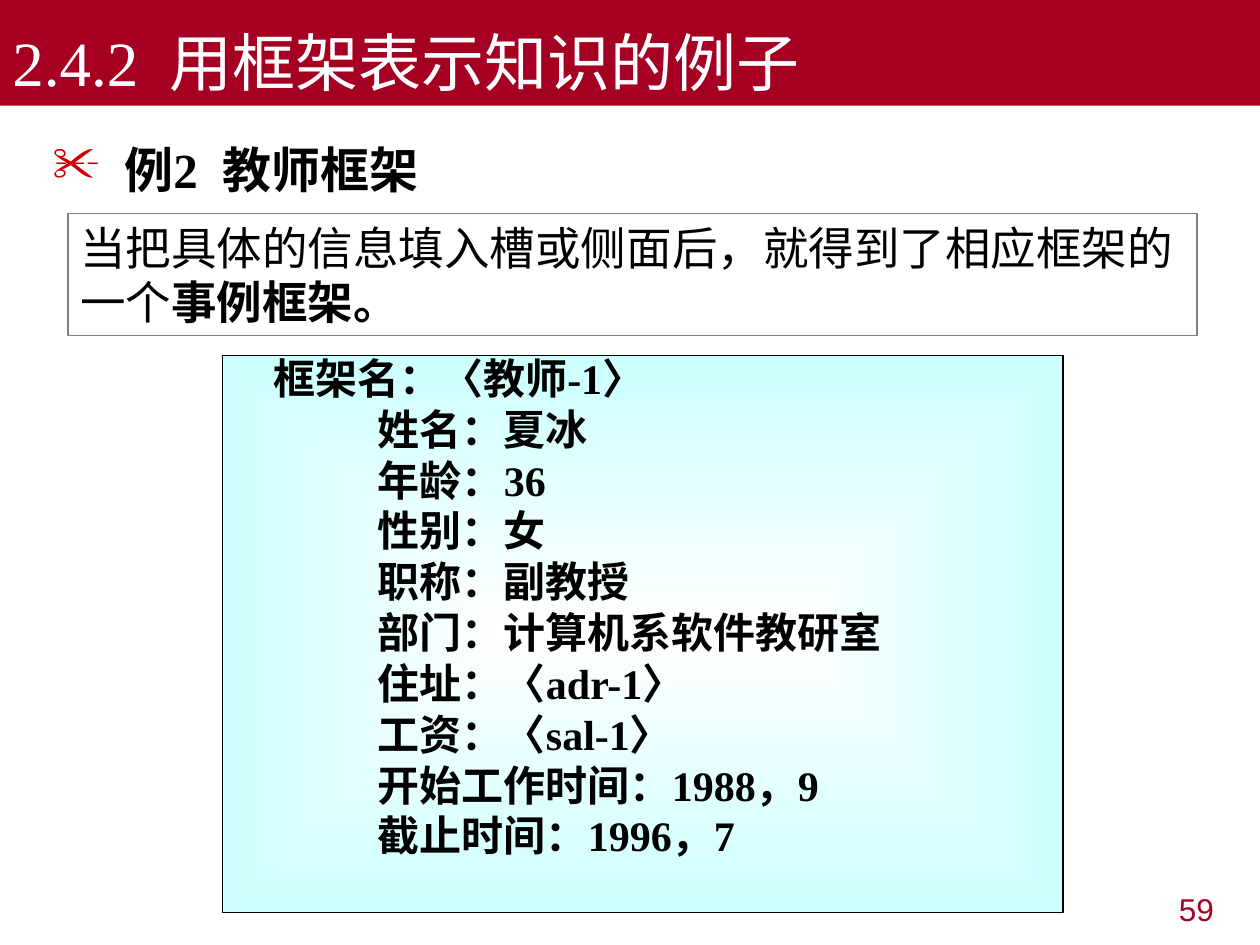
from dataclasses import dataclass

from lxml import etree
from pptx import Presentation
from pptx.dml.color import RGBColor
from pptx.enum.shapes import MSO_SHAPE
from pptx.enum.text import MSO_ANCHOR, MSO_AUTO_SIZE, PP_ALIGN
from pptx.oxml.ns import qn
from pptx.util import Cm, Pt

RECTANGLE = MSO_SHAPE.RECTANGLE
TOP, BOTTOM = MSO_ANCHOR.TOP, MSO_ANCHOR.BOTTOM
LEFT, RIGHT = PP_ALIGN.LEFT, PP_ALIGN.RIGHT
FIXED, GROW = MSO_AUTO_SIZE.NONE, MSO_AUTO_SIZE.SHAPE_TO_FIT_TEXT
TITLE_ONLY = 5


@dataclass(frozen=True)
class Theme:
    crimson: str = "A50021"
    bullet: str = "CC0000"
    ink: str = "000000"
    paper: str = "FFFFFF"
    aqua: str = "CCFFFF"
    border: str = "808080"
    serif: str = "Times New Roman"
    sans: str = "Arial"
    title: int = 36
    heading: int = 28
    note: int = 26
    slot: int = 24
    number: int = 18


@dataclass(frozen=True)
class Box:
    left: float
    top: float
    width: float
    height: float

    def lengths(self):
        return Cm(self.left), Cm(self.top), Cm(self.width), Cm(self.height)


@dataclass(frozen=True)
class Slot:
    text: str
    indent: float = 3.13
    before: int = 6
    after: int = 0


THEME = Theme()
TITLE_BAR = Box(0, 0, 25.4, 2.13)
HEADING = Box(0.81, 2.57, 9.22, 1.57)
NOTE = Box(1.37, 4.3, 22.76, 2.46)
TEACHER_FRAME = Box(4.49, 7.17, 16.94, 11.23)
PAGE_NUMBER = Box(18.8, 17.82, 5.92, 1.32)
SLOTS = [
    Slot("框架名：〈教师-1〉", indent=1.02, before=12),
    Slot("姓名：夏冰"),
    Slot("年龄：36"),
    Slot("性别：女"),
    Slot("职称：副教授"),
    Slot("部门：计算机系软件教研室"),
    Slot("住址：〈adr-1〉"),
    Slot("工资：〈sal-1〉"),
    Slot("开始工作时间：1988，9"),
    Slot("截止时间：1996，7", after=12),
]


def write(paragraph, text: str, *, size: int, font: str = THEME.sans,
          color: str = THEME.ink, bold: bool = False) -> None:
    run = paragraph.add_run()
    run.text = text
    run.font.size = Pt(size)
    run.font.name = font
    run.font.bold = bold
    run.font.color.rgb = RGBColor.from_string(color)


def prepare(shape, *, side: float = 0.25, edge: float = 0.13,
            anchor=TOP, fit=FIXED):
    frame = shape.text_frame
    frame.word_wrap = True
    frame.auto_size = fit
    frame.vertical_anchor = anchor
    frame.margin_left = frame.margin_right = Cm(side)
    frame.margin_top = frame.margin_bottom = Cm(edge)
    frame.paragraphs[0].alignment = LEFT
    return frame


def fill_solid(shape, color: str) -> None:
    shape.fill.solid()
    shape.fill.fore_color.rgb = RGBColor.from_string(color)


def fill_from_center(shape, center: str, rim: str) -> None:
    shape.fill.gradient()
    for stop, color in zip(shape.fill.gradient_stops, (center, rim)):
        stop.color.rgb = RGBColor.from_string(color)
    gradient = shape._element.spPr.find(qn("a:gradFill"))
    gradient.remove(gradient.find(qn("a:lin")))
    spread = etree.SubElement(gradient, qn("a:path"), {"path": "rect"})
    etree.SubElement(spread, qn("a:fillToRect"), dict.fromkeys("ltrb", "50000"))


def add_panel(slide, box: Box, border: str):
    panel = slide.shapes.add_shape(RECTANGLE, *box.lengths())
    panel.shadow.inherit = False
    panel.line.color.rgb = RGBColor.from_string(border)
    panel.line.width = Pt(0.75)
    return panel


def set_indent(paragraph, margin: float, first: float = 0):
    properties = paragraph._p.get_or_add_pPr()
    properties.set("marL", str(Cm(margin)))
    properties.set("indent", str(Cm(first)))
    return properties


def set_bullet(paragraph, symbol: str, color: str, hang: float) -> None:
    properties = set_indent(paragraph, hang, -hang)
    tint = etree.SubElement(properties, qn("a:buClr"))
    etree.SubElement(tint, qn("a:srgbClr"), {"val": color})
    etree.SubElement(properties, qn("a:buChar"), {"char": symbol})


def add_title(slide) -> None:
    title = slide.shapes.title
    title.left, title.top, title.width, title.height = TITLE_BAR.lengths()
    fill_solid(title, THEME.crimson)
    frame = prepare(title, anchor=BOTTOM)
    write(frame.paragraphs[0], "2.4.2  用框架表示知识的例子",
          size=THEME.title, font=THEME.serif, color=THEME.paper)


def add_heading(slide) -> None:
    heading = slide.shapes.add_textbox(*HEADING.lengths())
    line = prepare(heading, fit=GROW).paragraphs[0]
    line.line_spacing = 1.1
    line.space_before = Pt(7)
    set_bullet(line, "✂", THEME.bullet, 1.45)
    write(line, "例2  ", size=THEME.heading, font=THEME.serif, bold=True)
    write(line, "教师框架", size=THEME.heading, bold=True)


def add_note(slide) -> None:
    note = add_panel(slide, NOTE, THEME.border)
    fill_solid(note, THEME.paper)
    line = prepare(note, fit=GROW).paragraphs[0]
    line.space_before = Pt(16.2)
    write(line, "当把具体的信息填入槽或侧面后，就得到了相应框架的一个", size=THEME.note)
    write(line, "事例框架。", size=THEME.note, bold=True)


def add_teacher_frame(slide) -> None:
    panel = add_panel(slide, TEACHER_FRAME, THEME.ink)
    fill_from_center(panel, THEME.paper, THEME.aqua)
    frame = prepare(panel, side=0)
    for index, slot in enumerate(SLOTS):
        line = frame.add_paragraph() if index else frame.paragraphs[0]
        line.alignment = LEFT
        line.line_spacing = 0.8
        line.space_before = Pt(slot.before)
        line.space_after = Pt(slot.after)
        set_indent(line, slot.indent)
        write(line, slot.text, size=THEME.slot, font=THEME.serif, bold=True)


def add_page_number(slide) -> None:
    number = slide.shapes.add_textbox(*PAGE_NUMBER.lengths())
    line = prepare(number).paragraphs[0]
    line.alignment = RIGHT
    write(line, "59", size=THEME.number, color=THEME.crimson)


def main() -> None:
    deck = Presentation()
    deck.slide_width, deck.slide_height = Cm(25.4), Cm(19.05)
    slide = deck.slides.add_slide(deck.slide_layouts[TITLE_ONLY])
    add_page_number(slide)
    add_title(slide)
    add_teacher_frame(slide)
    add_heading(slide)
    add_note(slide)
    deck.save("out.pptx")


if __name__ == "__main__":
    main()
